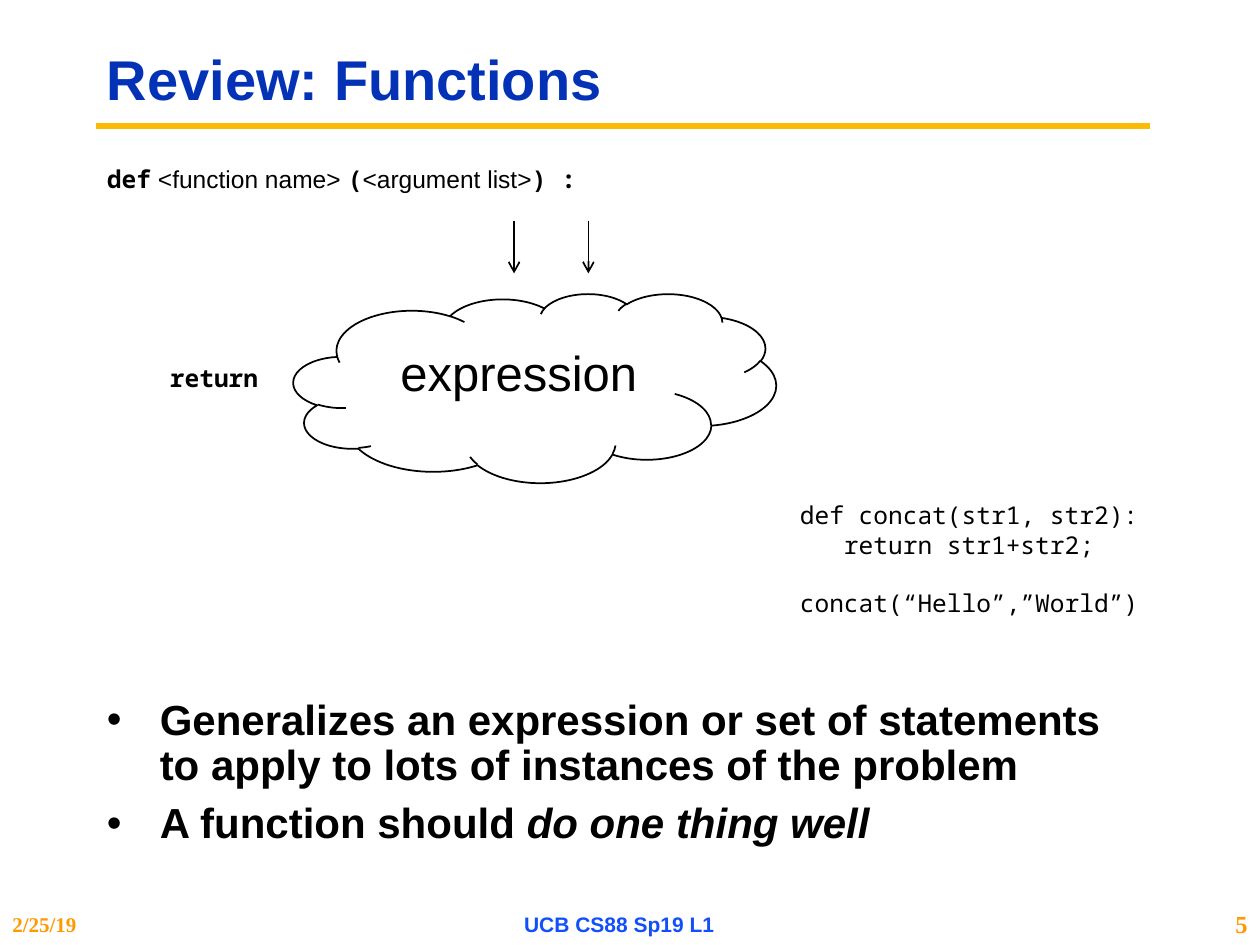
from dataclasses import dataclass

from lxml import etree
from pptx import Presentation
from pptx.dml.color import RGBColor
from pptx.enum.shapes import MSO_CONNECTOR, MSO_SHAPE
from pptx.enum.text import MSO_ANCHOR, MSO_AUTO_SIZE, PP_ALIGN
from pptx.oxml.ns import qn
from pptx.util import Inches, Pt

STRAIGHT = MSO_CONNECTOR.STRAIGHT
CLOUD = MSO_SHAPE.CLOUD
TOP, MIDDLE = MSO_ANCHOR.TOP, MSO_ANCHOR.MIDDLE
GROW, FIXED = MSO_AUTO_SIZE.SHAPE_TO_FIT_TEXT, MSO_AUTO_SIZE.NONE
LEFT, CENTER, RIGHT = PP_ALIGN.LEFT, PP_ALIGN.CENTER, PP_ALIGN.RIGHT


@dataclass(frozen=True)
class Theme:
    sans: str = "Arial"
    mono: str = "Noto Sans Mono"
    serif: str = "Times New Roman"
    ink: str = "000000"
    title_blue: str = "0332B7"
    footer_blue: str = "114FFB"
    gold: str = "FBBA03"
    orange: str = "FF9900"
    title_size: int = 32
    expression_size: int = 28
    body_size: int = 24
    code_size: int = 14
    footer_size: int = 12


@dataclass(frozen=True)
class Span:
    text: str
    font: str
    size: int
    color: str = Theme.ink
    bold: bool = False
    italic: bool = False


class SlideBuilder:
    def __init__(self, slide, theme):
        self.slide = slide
        self.theme = theme

    def text(self, place, paragraphs, anchor=TOP, align=LEFT, wrap=True,
             grow=False, spacing=None, gaps=None, bullet=None):
        """Add a text box; gaps maps a paragraph index to points before it."""
        box = self.slide.shapes.add_textbox(*map(Inches, place))
        frame = box.text_frame
        frame.word_wrap = wrap
        frame.auto_size = GROW if grow else FIXED
        frame.vertical_anchor = anchor
        for index, spans in enumerate(paragraphs):
            para = frame.paragraphs[0] if index == 0 else frame.add_paragraph()
            if bullet:
                self.bullet(para, bullet)
            para.alignment = align
            if spacing:
                para.line_spacing = spacing
            if gaps and index in gaps:
                para.space_before = Pt(gaps[index])
            for span in spans:
                self.span(para, span)

    def span(self, para, span):
        run = para.add_run()
        run.text = span.text
        font = run.font
        font.name = span.font
        font.size = Pt(span.size)
        font.bold = span.bold
        font.italic = span.italic
        font.color.rgb = RGBColor.from_string(span.color)

    def bullet(self, para, symbol):
        properties = para._p.get_or_add_pPr()
        properties.set("marL", str(Inches(0.5)))
        properties.set("indent", str(Inches(-0.42)))
        color = etree.SubElement(properties, qn("a:buClr"))
        etree.SubElement(color, qn("a:srgbClr"), val=self.theme.ink)
        etree.SubElement(properties, qn("a:buFont"), typeface=self.theme.sans)
        etree.SubElement(properties, qn("a:buChar"), char=symbol)

    def line(self, start, end, color, width, arrow=False):
        connector = self.slide.shapes.add_connector(
            STRAIGHT, *map(Inches, (*start, *end)))
        connector.line.color.rgb = RGBColor.from_string(color)
        connector.line.width = Pt(width)
        if arrow:
            outline = connector.line._get_or_add_ln()
            etree.SubElement(outline, qn("a:tailEnd"), type="arrow")
        etree.SubElement(connector._element.spPr, qn("a:effectLst"))

    def outline(self, preset, place, color, width):
        shape = self.slide.shapes.add_shape(preset, *map(Inches, place))
        shape.shadow.inherit = False
        shape.fill.background()
        shape.line.color.rgb = RGBColor.from_string(color)
        shape.line.width = Pt(width)


def main():
    theme = Theme()
    deck = Presentation()
    deck.slide_width, deck.slide_height = Inches(10), Inches(7.5)
    page = SlideBuilder(deck.slides.add_slide(deck.slide_layouts[6]), theme)

    def code(text, bold=False):
        return Span(text, theme.mono, theme.code_size, bold=bold)

    def slot(text):
        return Span(text, theme.sans, theme.code_size)

    def point(text, italic=False):
        return Span(text, theme.sans, theme.body_size, bold=True, italic=italic)

    # Title and rule
    page.line((0.76, 1), (9.13, 1), theme.gold, 3.75)
    title = Span("Review: Functions", theme.sans, theme.title_size,
                 theme.title_blue, bold=True)
    page.text((0.75, 0.25, 8.42, 0.81), [[title]], anchor=MIDDLE, spacing=0.9)

    # Key points
    page.text((0.67, 5.5, 8.33, 1.42), [
        [point("Generalizes an expression or set of statements "
               "to apply to lots of instances of the problem")],
        [point("A function should "), point("do one thing well", italic=True)],
    ], spacing=0.9, gaps={1: 7.2}, bullet="•")

    # Function diagram
    expression = Span("expression", theme.sans, theme.expression_size)
    page.text((3.08, 2.67, 2.1, 0.57), [[expression]], wrap=False, grow=True)
    page.outline(CLOUD, (2.33, 2.33, 3.83, 1.5), theme.ink, 1)
    signature = [code("def", bold=True), slot(" <function name> "),
                 code("(", bold=True), slot("<argument list>"),
                 code(") :", bold=True)]
    page.text((0.75, 1.25, 5.02, 0.4), [signature], wrap=False, grow=True)
    page.text((1.25, 2.83, 1.11, 0.4), [[code("return", bold=True)]],
              wrap=False, grow=True)
    for x in (4.08, 4.67):
        page.line((x, 1.75), (x, 2.17), theme.ink, 1, arrow=True)

    # Code example, with a one-line gap before the call
    example = ("def concat(str1, str2):", "   return str1+str2;",
               "concat(“Hello”,”World”)")
    page.text((6.25, 3.92, 5, 1.31), [[code(row)] for row in example],
              grow=True, gaps={2: 16.8})

    # Footer
    footers = (
        (0, 1.67, "2/25/19", theme.serif, theme.footer_size, theme.orange, LEFT),
        (3.33, 3.17, "UCB CS88 Sp19 L1", theme.sans, theme.footer_size,
         theme.footer_blue, CENTER),
        (9.42, 0.58, "5", theme.serif, theme.code_size, theme.orange, RIGHT),
    )
    for left, width, text, font, size, color, align in footers:
        page.text((left, 7.17, width, 0.33),
                  [[Span(text, font, size, color, bold=True)]],
                  anchor=MIDDLE, align=align)

    deck.save("out.pptx")


if __name__ == "__main__":
    main()
